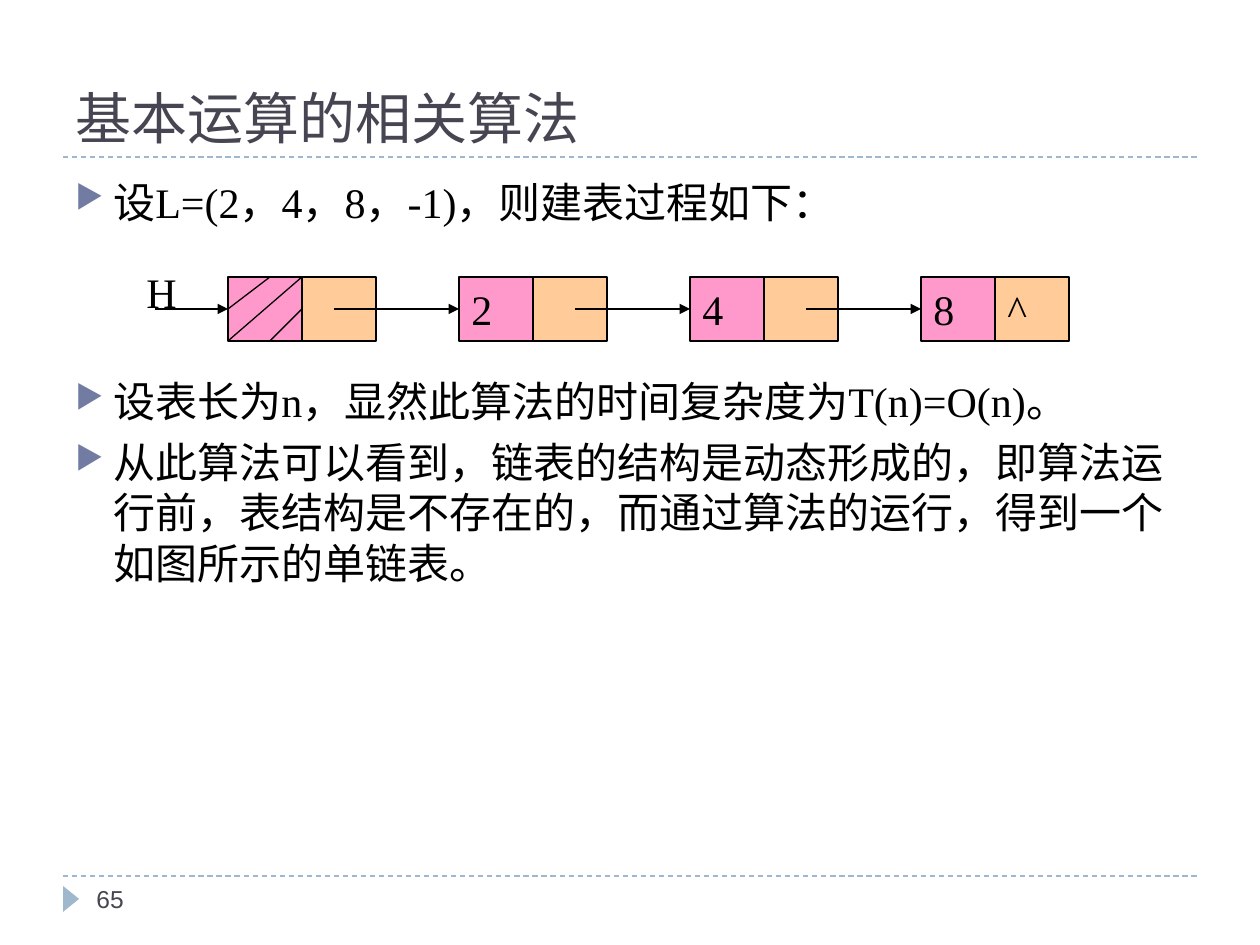
from lxml.etree import SubElement
from pptx import Presentation
from pptx.dml.color import RGBColor
from pptx.enum.dml import MSO_LINE
from pptx.enum.shapes import MSO_CONNECTOR, MSO_SHAPE
from pptx.enum.text import MSO_ANCHOR, PP_ALIGN
from pptx.oxml.ns import qn
from pptx.util import Pt

PX = 914400 // 126
BLACK = RGBColor(0, 0, 0)
SLATE = RGBColor(0x46, 0x46, 0x53)
BLUE = RGBColor(0x9F, 0xB8, 0xCD)
PINK = RGBColor(0xFF, 0x99, 0xCC)
PEACH = RGBColor(0xFF, 0xCC, 0x99)
SERIF = "Times New Roman"

deck = Presentation()
deck.slide_width = 1260 * PX
deck.slide_height = 945 * PX
slide = deck.slides.add_slide(deck.slide_layouts[6])
shapes = slide.shapes


def write(shape, lines, size, face, color, anchor=MSO_ANCHOR.TOP):
    frame = shape.text_frame
    frame.word_wrap = True
    frame.vertical_anchor = anchor
    frame.text = "\n".join(lines)
    for para in frame.paragraphs:
        para.alignment = PP_ALIGN.LEFT
        para.font.size = Pt(size)
        para.font.name = face
        para.font.color.rgb = color
    return frame


def draw(x1, y1, x2, y2, color=BLACK, arrow=False):
    line = shapes.add_connector(
        MSO_CONNECTOR.STRAIGHT, x1 * PX, y1 * PX, x2 * PX, y2 * PX)
    line.line.color.rgb = color
    line.line.width = Pt(0.75)
    if arrow:
        SubElement(line.line._get_or_add_ln(), qn("a:tailEnd"), type="triangle")
    SubElement(line._element.spPr, qn("a:effectLst"))
    return line


for y in (876, 157):
    draw(63, y, 1197, y, BLUE).line.dash_style = MSO_LINE.DASH

mark = shapes.add_shape(MSO_SHAPE.ISOSCELES_TRIANGLE, 58 * PX, 891 * PX, 26 * PX, 16 * PX)
mark.rotation = 90
mark.shadow.inherit = False
mark.fill.solid()
mark.fill.fore_color.rgb = BLUE
mark.line.fill.background()

title = shapes.add_textbox(63 * PX, 21 * PX, 1134 * PX, 136 * PX)
write(title, ["基本运算的相关算法"], 32, "Arial", SLATE, MSO_ANCHOR.BOTTOM)

points = [
    ("设L=(2，4，8，-1)，则建表过程如下：", 0),
    ("设表长为n，显然此算法的时间复杂度为T(n)=O(n)。", 85),
    ("从此算法可以看到，链表的结构是动态形成的，即算法运行前，"
     "表结构是不存在的，而通过算法的运行，得到一个如图所示的单链表。", 6),
]
body = shapes.add_textbox(63 * PX, 170 * PX, 1134 * PX, 675 * PX)
frame = body.text_frame
for i, (text, gap) in enumerate(points):
    para = frame.paragraphs[0] if i == 0 else frame.add_paragraph()
    para.text = text
    props = para._p.get_or_add_pPr()
    props.set("marL", str(38 * PX))
    props.set("indent", str(-38 * PX))
    tint = SubElement(props, qn("a:buClr"))
    SubElement(tint, qn("a:srgbClr"), val="727CA3")
    SubElement(props, qn("a:buSzPct"), val="76000")
    SubElement(props, qn("a:buChar"), char="▶")
    if gap:
        para.space_before = Pt(gap)
    para.font.size = Pt(24)
    para.font.name = SERIF
    para.font.color.rgb = BLACK
frame.word_wrap = True

nodes = [("", ""), ("2", ""), ("4", ""), ("8", "^")]
for i, node in enumerate(nodes):
    left = 228 + 231 * i
    for j, (text, color) in enumerate(zip(node, (PINK, PEACH))):
        cell = shapes.add_shape(
            MSO_SHAPE.RECTANGLE, (left + 74 * j) * PX, 277 * PX, 74 * PX, 64 * PX)
        cell.shadow.inherit = False
        cell.fill.solid()
        cell.fill.fore_color.rgb = color
        cell.line.color.rgb = BLACK
        cell.line.width = Pt(0.75)
        if text:
            write(cell, [text], 24, SERIF, BLACK, MSO_ANCHOR.MIDDLE)

for start, end in ((155, 228), (334, 459), (575, 690), (806, 921)):
    draw(start, 309, end, 309, arrow=True)
for x1, y1, x2, y2 in ((270, 277, 228, 309), (302, 277, 228, 341), (302, 309, 270, 341)):
    draw(x1, y1, x2, y2)

head = shapes.add_textbox(134 * PX, 260 * PX, 53 * PX, 63 * PX)
write(head, ["H"], 24, SERIF, BLACK)
page = shapes.add_textbox(84 * PX, 878 * PX, 273 * PX, 50 * PX)
write(page, ["65"], 14, "Arial", SLATE)

deck.save("out.pptx")
